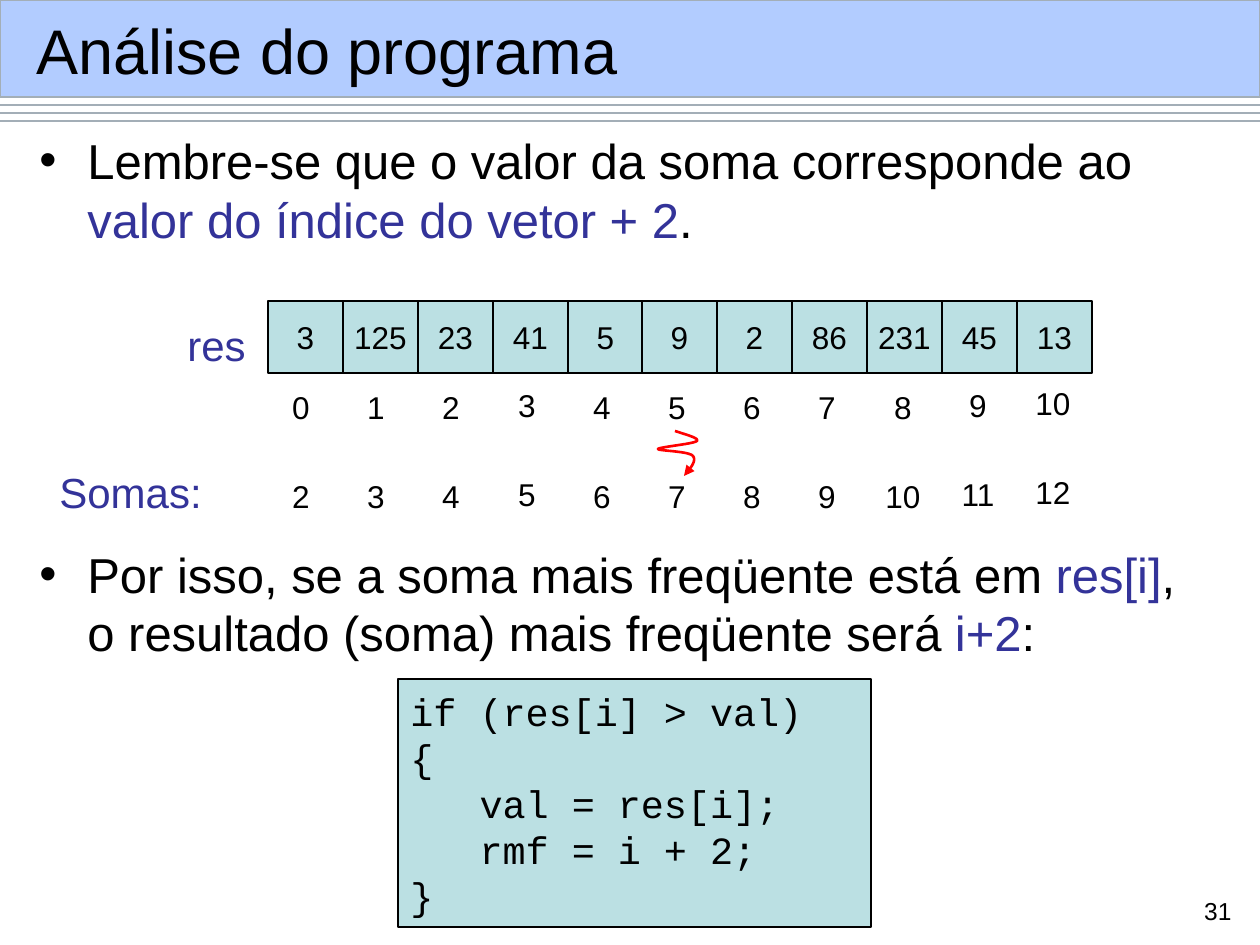
from lxml import etree
from pptx import Presentation
from pptx import util as u
from pptx.dml.color import RGBColor
from pptx.enum import shapes, text
from pptx.oxml.ns import qn

PX = 914400 // 126  # one px in EMU


class Theme:
    ink, accent = RGBColor(0, 0, 0), RGBColor(0x33, 0x33, 0x99)
    cell, banner = RGBColor(0xBB, 0xE0, 0xE3), RGBColor(0xB2, 0xCC, 0xFF)
    rule, arrow = RGBColor(0xA3, 0xAE, 0xB7), RGBColor(0xFF, 0, 0)
    sans, mono = "Arial", "Courier New"
    title, body, label, code, number, page = 36, 28, 24, 22, 18, 14


def write(shape, lines, size, color=Theme.ink, font=Theme.sans, align=text.PP_ALIGN.LEFT,
          anchor=text.MSO_ANCHOR.TOP, wrap=False):
    """Fill a shape with one paragraph per line."""
    frame = shape.text_frame
    frame.text = "\n".join(lines)
    frame.word_wrap, frame.vertical_anchor = wrap, anchor
    for paragraph in frame.paragraphs:
        paragraph.alignment = align
        paragraph.font.size, paragraph.font.name = u.Pt(size), font
        paragraph.font.color.rgb = color


def box(left, top, width, height, fill=Theme.cell, line=Theme.ink):
    rect = slide.shapes.add_shape(shapes.MSO_SHAPE.RECTANGLE,
                                  *(n * PX for n in (left, top, width, height)))
    rect.shadow.inherit = False
    rect.fill.solid()
    rect.fill.fore_color.rgb = fill
    rect.line.color.rgb, rect.line.width = line, u.Pt(0.75)
    return rect


deck = Presentation()
deck.slide_width, deck.slide_height = 1260 * PX, 945 * PX
slide = deck.slides.add_slide(deck.slide_layouts[6])
textbox = slide.shapes.add_textbox

# Banner, rules and title
for y in (105, 113, 121):
    rule = slide.shapes.add_connector(shapes.MSO_CONNECTOR.STRAIGHT, 0, y * PX, 1260 * PX, y * PX)
    rule.line.color.rgb, rule.line.width = Theme.rule, u.Pt(0.75)
    etree.SubElement(rule._element.spPr, qn("a:effectLst"))
box(0, 0, 1260, 97, Theme.banner, Theme.rule)
title = textbox(24 * PX, 12 * PX, 1215 * PX, 74 * PX)
write(title, ["Análise do programa"], Theme.title, anchor=text.MSO_ANCHOR.MIDDLE, wrap=True)

# Bullets, with every second run in the accent colour
bullets = [
    (124, ["Lembre-se que o valor da soma corresponde ao ", "valor do índice do vetor + 2", "."]),
    (538, ["Por isso, se a soma mais freqüente está em ", "res[i]",
           ", o resultado (soma) mais freqüente será ", "i+2", ":"]),
]
for top, parts in bullets:
    bullet = textbox(27 * PX, top * PX, 1192 * PX, 130 * PX)
    write(bullet, [""], Theme.body, wrap=True)
    paragraph = bullet.text_frame.paragraphs[0]
    for i, part in enumerate(parts):
        run = paragraph.add_run()
        run.text = part
        run.font.size = u.Pt(Theme.body)  # the bullet takes its size from the runs
        if i % 2:
            run.font.color.rgb = Theme.accent
    props = paragraph._p.get_or_add_pPr()
    props.set("marL", str(48 * PX))
    props.set("indent", str(-48 * PX))
    for mark in (etree.Element(qn("a:buFont"), typeface=Theme.sans),
                 etree.Element(qn("a:buChar"), char="•")):
        props.insert_element_before(mark, "a:tabLst", "a:defRPr", "a:extLst")
    etree.SubElement(paragraph._p, qn("a:endParaRPr"), sz=str(Theme.body * 100))

# Vector cells, with the index and the sum below each
values = [3, 125, 23, 41, 5, 9, 2, 86, 231, 45, 13]
raised = {3: 2, 9: 2, 10: 4}  # px above the common line
for i, value in enumerate(values):
    write(box(268 + round(i * 74.9), 301, 75, 72), [str(value)], Theme.number,
          align=text.PP_ALIGN.CENTER, anchor=text.MSO_ANCHOR.MIDDLE)
    for top, number in ((382, i), (471, i + 2)):
        caption = textbox((271 + round(i * 75.2)) * PX, (top - raised.get(i, 0)) * PX,
                          60 * PX, 50 * PX)
        write(caption, [str(number)], Theme.number, align=text.PP_ALIGN.CENTER, wrap=True)

for name, left, top, width, align in (("res", 138, 313, 120, text.PP_ALIGN.RIGHT),
                                      ("Somas:", 47, 460, 190, text.PP_ALIGN.LEFT)):
    write(textbox(left * PX, top * PX, width * PX, 63 * PX), [name], Theme.label,
          Theme.accent, align=align, wrap=True)

# Wavy arrow from index to sum, sampled from Bézier curves
start = (675, 431)
curves = [((687, 435), (699, 438), (697, 441)), ((694, 444), (659, 447), (658, 449)),
          ((658, 451), (689, 451), (693, 456)), ((697, 461), (690, 469), (684, 476))]
points = [start]
for b, c, d in curves:
    a = points[-1]
    for step in range(1, 13):
        t = step / 12
        points.append(tuple((1 - t) ** 3 * p + 3 * (1 - t) ** 2 * t * q
                            + 3 * (1 - t) * t ** 2 * r + t ** 3 * s
                            for p, q, r, s in zip(a, b, c, d)))
# Points go in as EMU, since the builder rounds them to whole units
points = [(round(x * PX), round(y * PX)) for x, y in points]
wave_builder = slide.shapes.build_freeform(*points[0], scale=1.0)
wave_builder.add_line_segments(points[1:], close=False)
wave = wave_builder.convert_to_shape()
wave.shadow.inherit = False
wave.fill.background()
wave.line.color.rgb, wave.line.width = Theme.arrow, u.Pt(1.5)
etree.SubElement(wave.line._get_or_add_ln(), qn("a:tailEnd"), type="triangle")

# Code and page number
code = ["if (res[i] > val)", "{", "   val = res[i];", "   rmf = i + 2;", "}"]
write(box(398, 679, 473, 248), code, Theme.code, font=Theme.mono, anchor=text.MSO_ANCHOR.MIDDLE)
write(textbox(1184 * PX, 890 * PX, 60 * PX, 43 * PX), ["31"], Theme.page,
      align=text.PP_ALIGN.RIGHT, wrap=True)

deck.save("out.pptx")
